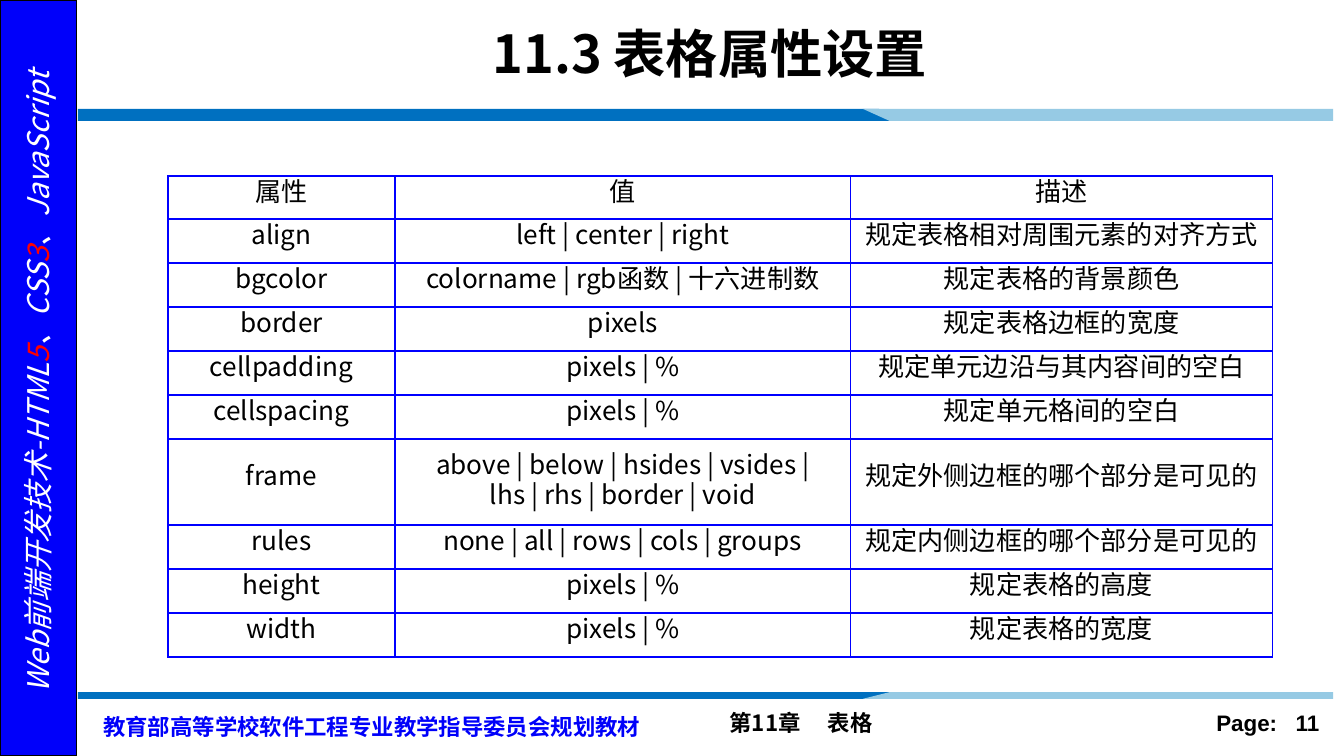
import dataclasses

import lxml.etree
import pptx
import pptx.dml.color
import pptx.enum.shapes
import pptx.enum.text
import pptx.oxml.ns
import pptx.util

Inches = pptx.util.Inches
Pt = pptx.util.Pt
ALIGN = pptx.enum.text.PP_ALIGN
ANCHOR = pptx.enum.text.MSO_ANCHOR

SLIDE_WIDTH = Inches(10)
SLIDE_HEIGHT = SLIDE_WIDTH * 9 // 16


@dataclasses.dataclass(frozen=True)
class Theme:
    font: str = "Noto Sans CJK SC"
    page_font: str = "Arial"
    black: str = "000000"
    white: str = "FFFFFF"
    red: str = "FF0000"
    blue: str = "0000FA"
    grid: str = "0000FF"
    band_dark: str = "0070C0"
    band_light: str = "96CAE4"
    title_size: int = 28
    side_size: int = 16
    table_size: int = 14
    footer_size: int = 12
    footer_end_size: int = 20


THEME = Theme()

ROWS = [
    ("属性", "值", "描述"),
    ("align", "left | center | right", "规定表格相对周围元素的对齐方式"),
    ("bgcolor", "colorname | rgb函数 | 十六进制数", "规定表格的背景颜色"),
    ("border", "pixels", "规定表格边框的宽度"),
    ("cellpadding", "pixels | %", "规定单元边沿与其内容间的空白"),
    ("cellspacing", "pixels | %", "规定单元格间的空白"),
    ("frame", "above | below | hsides | vsides |\nlhs | rhs | border | void",
     "规定外侧边框的哪个部分是可见的"),
    ("rules", "none | all | rows | cols | groups", "规定内侧边框的哪个部分是可见的"),
    ("height", "pixels | %", "规定表格的高度"),
    ("width", "pixels | %", "规定表格的宽度"),
]


def rgb(color):
    return pptx.dml.color.RGBColor.from_string(color)


def add_child(parent, tag, **attributes):
    child = lxml.etree.SubElement(parent, pptx.oxml.ns.qn(tag))
    for name, value in attributes.items():
        child.set(name, str(value))
    return child


def write(para, text, *, size, color=THEME.black, font=THEME.font,
          bold=False, italic=False):
    span = para.add_run()
    span.text = text
    span.font.size = Pt(size)
    span.font.color.rgb = rgb(color)
    span.font.name = font
    span.font.bold = bold
    span.font.italic = italic
    add_child(span.font._element, "a:ea", typeface=font)


def set_tab(para, position):
    tabs = add_child(para._p.get_or_add_pPr(), "a:tabLst")
    add_child(tabs, "a:tab", pos=int(Inches(position)), algn="l")


def add_box(slide, left, top, width, height, inset=0.1):
    """Add a wrapping text box and return it with its first paragraph."""
    box = slide.shapes.add_textbox(
        Inches(left), Inches(top), Inches(width), Inches(height))
    frame = box.text_frame
    frame.word_wrap = True
    frame.margin_left = Inches(inset)
    return box, frame.paragraphs[0]


def paint(shape, fill, line=None):
    shape.shadow.inherit = False
    shape.fill.solid()
    shape.fill.fore_color.rgb = rgb(fill)
    if line:
        shape.line.color.rgb = rgb(line)
        shape.line.width = Pt(1)
    else:
        shape.line.fill.background()


def add_polygon(slide, points, color):
    corners = [(Inches(x), Inches(y)) for x, y in points]
    builder = slide.shapes.build_freeform(*corners[0])
    builder.add_line_segments(corners[1:], close=True)
    paint(builder.convert_to_shape(), color)


def add_band(slide, outer, inner):
    """Draw a two-tone rule whose colours meet on a slant from outer to inner edge."""
    left, right = 0.58, 9.92
    add_polygon(slide, [(left, outer), (6.54, outer), (6.72, inner), (left, inner)],
                THEME.band_dark)
    add_polygon(slide, [(6.42, outer), (right, outer), (right, inner), (6.62, inner)],
                THEME.band_light)


def add_sidebar(slide):
    bar = slide.shapes.add_shape(
        pptx.enum.shapes.MSO_SHAPE.RECTANGLE, 0, 0, Inches(0.57), SLIDE_HEIGHT)
    paint(bar, THEME.blue, THEME.black)
    box, para = add_box(slide, -2.31, 2.66, 5.19, 0.37, inset=0)
    box.text_frame.margin_right = 0
    box.rotation = 270
    para.alignment = ALIGN.CENTER
    parts = ["Web前端开发技术-HTML", "5", "、CSS", "3", "、JavaScript"]
    for part in parts:
        write(para, part, size=THEME.side_size, italic=True,
              color=THEME.red if part.isdigit() else THEME.white)


def add_footer(slide):
    _, publisher = add_box(slide, 0.67, 5.23, 4.33, 0.35)
    publisher.line_spacing = Pt(18)
    write(publisher, "教育部高等学校软件工程专业教学指导委员会规划教材",
          size=THEME.footer_size, color=THEME.blue, bold=True)
    write(publisher, " ", size=THEME.footer_end_size, color=THEME.blue, bold=True)
    _, chapter = add_box(slide, 5.33, 5.23, 3.29, 0.3)
    set_tab(chapter, 0.73)
    write(chapter, "第11章\t表格", size=THEME.footer_size, bold=True)
    _, page = add_box(slide, 8.67, 5.23, 1.25, 0.3, inset=0.38)
    set_tab(page, 0.59)
    write(page, "Page:\t11", size=THEME.footer_size, font=THEME.page_font, bold=True)


def set_title(slide, text):
    title = slide.shapes.title
    title.left, title.top = Inches(1.08), Inches(0.08)
    title.width, title.height = Inches(8.49), Inches(0.62)
    frame = title.text_frame
    frame.auto_size = pptx.enum.text.MSO_AUTO_SIZE.NONE
    frame.vertical_anchor = ANCHOR.MIDDLE
    frame.paragraphs[0].alignment = ALIGN.CENTER
    write(frame.paragraphs[0], text, size=THEME.title_size, bold=True)


def fill_cell(cell, text):
    cell.vertical_anchor = ANCHOR.MIDDLE
    cell.margin_left = cell.margin_right = Inches(0.07)
    cell.margin_top = cell.margin_bottom = 0
    properties = cell._tc.get_or_add_tcPr()
    for side in ("a:lnL", "a:lnR", "a:lnT", "a:lnB"):
        line = add_child(properties, side, w=int(Pt(1)))
        add_child(add_child(line, "a:solidFill"), "a:srgbClr", val=THEME.grid)
    cell.fill.background()
    lines = text.split("\n")
    for index, line_text in enumerate(lines):
        frame = cell.text_frame
        para = frame.add_paragraph() if index else frame.paragraphs[0]
        para.alignment = ALIGN.CENTER
        para.line_spacing = Pt(16 if len(lines) > 1 else 12)
        write(para, line_text, size=THEME.table_size)


def add_attribute_table(slide):
    widths = [1.69, 3.39, 3.14]
    height, header, double = 3.58, 0.32, 0.64
    single = (height - header - double) / (len(ROWS) - 2)
    table = slide.shapes.add_table(
        len(ROWS), len(widths), Inches(1.25), Inches(1.31),
        Inches(sum(widths)), Inches(height)).table
    table.first_row = table.horz_banding = False
    for column, width in zip(table.columns, widths):
        column.width = Inches(width)
    for index, texts in enumerate(ROWS):
        tall = any("\n" in text for text in texts)
        table.rows[index].height = Inches(
            header if index == 0 else double if tall else single)
        for column, text in enumerate(texts):
            fill_cell(table.cell(index, column), text)


def main():
    deck = pptx.Presentation()
    deck.slide_width, deck.slide_height = SLIDE_WIDTH, SLIDE_HEIGHT
    slide = deck.slides.add_slide(deck.slide_layouts[5])
    add_sidebar(slide)
    add_footer(slide)
    add_band(slide, 0.81, 0.9)
    add_band(slide, 5.2, 5.15)
    add_attribute_table(slide)
    set_title(slide, "11.3 表格属性设置 ")
    deck.save("out.pptx")


if __name__ == "__main__":
    main()
